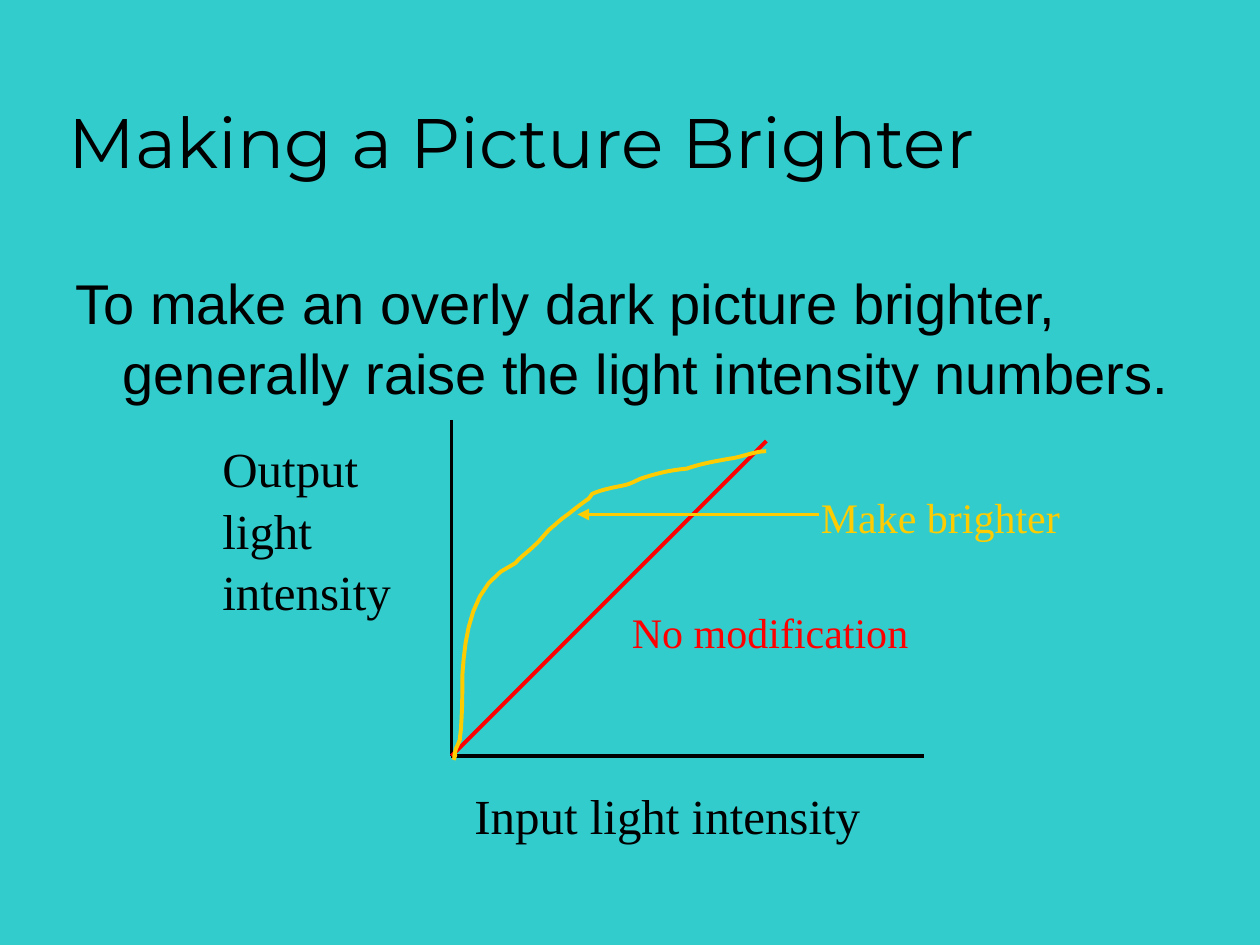
from lxml.etree import SubElement
from pptx import Presentation
from pptx.dml.color import RGBColor
from pptx.enum.shapes import MSO_CONNECTOR as Connector
from pptx.enum.text import MSO_ANCHOR as Anchor, PP_ALIGN as Align
from pptx.oxml.ns import qn
from pptx.util import Pt

COLORS = {
    "background": "33CCCC",
    "text": "000000",
    "unmodified": "FF0000",
    "brighter": "FFCC00",
}
SERIF = "Times New Roman"
LINE_WIDTH = 2.25
CURVE_STEPS = 8

ORIGIN = (258, 432)
CURVE_START = (259.2, 434.2)
# Each row: first control point, second control point, end point.
CURVE_SEGMENTS = [
    ((262.1, 426.2), (257.8, 437.8), (260.6, 427.7)),
    ((261.4, 426.2), (262.8, 422.6), (262.8, 422.6)),
    ((262.8, 420.5), (263.5, 417.6), (263.5, 414.7)),
    ((264.2, 405.4), (264.2, 396), (264.2, 385.9)),
    ((265.7, 362.9), (269.3, 332.6), (294.5, 321.8)),
    ((297.4, 318.2), (301.7, 315.4), (305.3, 311.8)),
    ((309.6, 308.2), (312.5, 303.1), (316.8, 300.2)),
    ((319.7, 297.4), (321.8, 295.9), (324.7, 293.8)),
    ((328.3, 290.9), (331.9, 288), (336.2, 285.1)),
    ((337, 284.4), (337.7, 283), (338.4, 282.2)),
    ((344.9, 279.4), (350.6, 278.6), (357.1, 277.2)),
    ((360, 276.5), (362.9, 275), (365.8, 273.6)),
    ((374.4, 270.7), (383, 268.6), (392.4, 267.8)),
    ((400.3, 265), (409, 263.5), (416.9, 262.1)),
    ((423.4, 261.4), (431.3, 257.8), (437.8, 257.8)),
]


def rgb(name):
    return RGBColor.from_string(COLORS[name])


def write_text(shape, text, size, font=SERIF, color="text", anchor=Anchor.TOP,
               hanging=0, line_spacing=1.04):
    frame = shape.text_frame
    frame.word_wrap = True
    frame.vertical_anchor = anchor
    paragraph = frame.paragraphs[0]
    paragraph.alignment = Align.LEFT
    paragraph.line_spacing = line_spacing
    paragraph.space_before = Pt(0)
    if hanging:
        properties = paragraph._p.get_or_add_pPr()
        properties.set("marL", str(Pt(hanging)))
        properties.set("indent", str(-Pt(hanging)))
    run = paragraph.add_run()
    run.text = text
    run.font.name = font
    run.font.size = Pt(size)
    run.font.color.rgb = rgb(color)


def add_title(slide, text, left, top, width, height):
    title = slide.shapes.title
    title.left, title.top = Pt(left), Pt(top)
    title.width, title.height = Pt(width), Pt(height)
    write_text(title, text, 40, font="Montserrat", anchor=Anchor.BOTTOM,
               line_spacing=1.0)


def add_text(slide, text, left, top, width, height, **text_format):
    box = slide.shapes.add_textbox(Pt(left), Pt(top), Pt(width), Pt(height))
    write_text(box, text, **text_format)


def add_line(slide, start, end, color="text", arrow=False):
    line = slide.shapes.add_connector(
        Connector.STRAIGHT, *(Pt(value) for value in (*start, *end)))
    line.line.color.rgb = rgb(color)
    line.line.width = Pt(LINE_WIDTH)
    if arrow:
        SubElement(line.line._get_or_add_ln(), qn("a:tailEnd"), type="triangle")
    SubElement(line._element.spPr, qn("a:effectLst"))


def bezier_point(points, t):
    weights = ((1 - t) ** 3, 3 * t * (1 - t) ** 2, 3 * t ** 2 * (1 - t), t ** 3)
    return tuple(Pt(sum(weight * point[axis]
                        for weight, point in zip(weights, points)))
                 for axis in (0, 1))


def add_curve(slide, start, segments, color):
    """Draw an open outline through sampled cubic Bezier segments."""
    builder = slide.shapes.build_freeform(Pt(start[0]), Pt(start[1]))
    vertices = []
    for segment in segments:
        points = (start, *segment)
        vertices += [bezier_point(points, step / CURVE_STEPS)
                     for step in range(1, CURVE_STEPS + 1)]
        start = segment[-1]
    builder.add_line_segments(vertices, close=False)
    curve = builder.convert_to_shape()
    curve.shadow.inherit = False
    curve.fill.background()
    curve.line.color.rgb = rgb(color)
    curve.line.width = Pt(LINE_WIDTH)


def main():
    presentation = Presentation()
    presentation.slide_width, presentation.slide_height = Pt(720), Pt(540)
    slide = presentation.slides.add_slide(presentation.slide_layouts[5])
    slide.background.fill.solid()
    slide.background.fill.fore_color.rgb = rgb("background")

    add_title(slide, "Making a Picture Brighter", 32, 18, 612, 90)
    add_text(slide, "To make an overly dark picture brighter, generally raise "
             "the light intensity numbers.", 36, 148.5, 644, 328,
             size=32, font="Arial", hanging=27)

    add_line(slide, (258, 240), ORIGIN)
    add_line(slide, ORIGIN, (528, 432))
    add_line(slide, ORIGIN, (438, 252), color="unmodified")
    add_text(slide, "Input light intensity", 264, 444, 270, 41, size=28)
    add_text(slide, "Output light intensity", 120, 246, 120, 108, size=28)
    add_text(slide, "No modification", 354, 342, 198, 36,
             size=24, color="unmodified")

    add_curve(slide, CURVE_START, CURVE_SEGMENTS, "brighter")
    add_text(slide, "Make brighter", 462, 276, 174, 36,
             size=24, color="brighter")
    add_line(slide, (468, 294), (330, 294), color="brighter", arrow=True)

    presentation.save("out.pptx")


if __name__ == "__main__":
    main()
